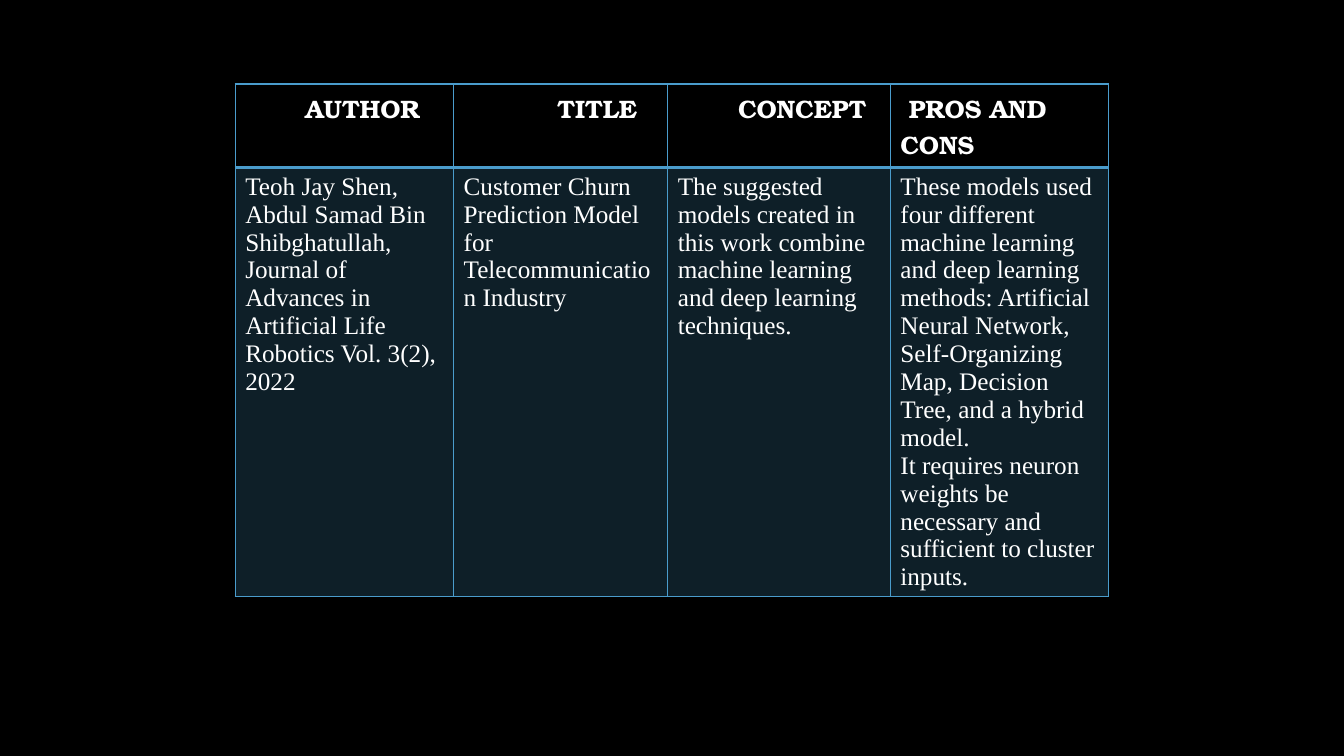
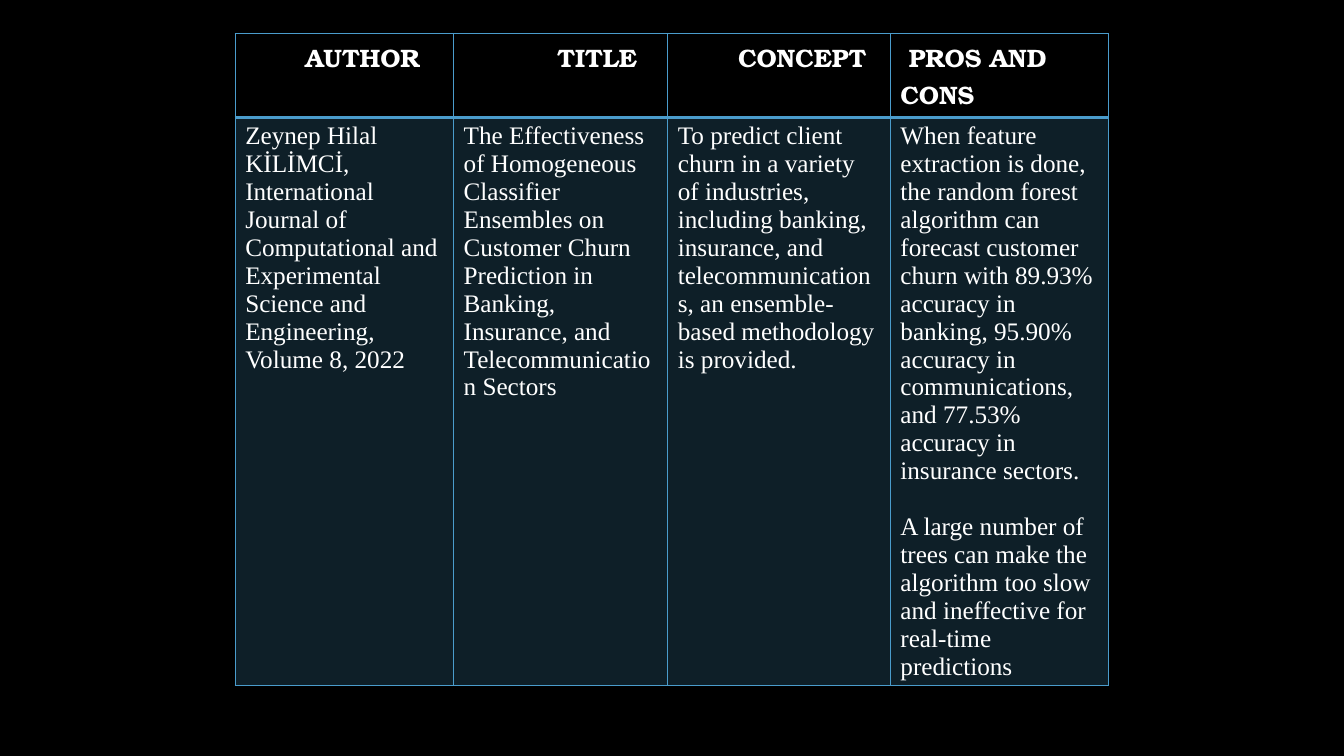
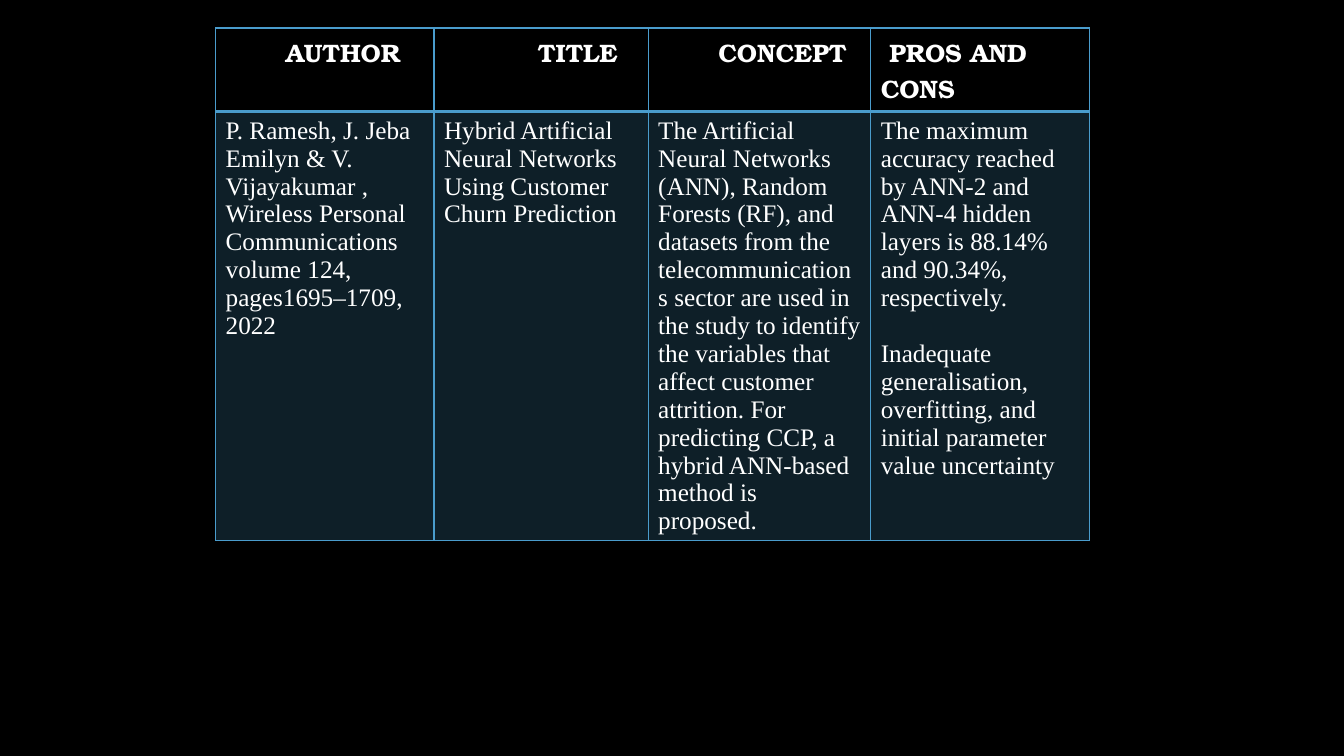
import pptx
import pptx.dml.color
import pptx.enum.text
import pptx.oxml
import pptx.oxml.ns
import pptx.util
from dataclasses import dataclass

Pt = pptx.util.Pt

# Content: heading and first-line indent of each column
HEADINGS = [("AUTHOR", 43), ("TITLE", 67), ("CONCEPT", 43), ("PROS AND CONS", 6)]

# Content: one paper per slide, each cell a list of paragraphs
PAPERS = [
    {
        "at": (168, 60), "height": 382, "gap": 0,
        "cells": [
            ["Teoh Jay Shen, Abdul Samad Bin Shibghatullah, Journal of Advances in "
             "Artificial Life Robotics Vol. 3(2), 2022"],
            ["Customer Churn Prediction Model for Telecommunication Industry"],
            ["The suggested models created in this work combine machine learning and "
             "deep learning techniques."],
            ["These models used four different machine learning and deep learning "
             "methods: Artificial Neural Network, Self-Organizing Map, Decision Tree, "
             "and a hybrid model.",
             "It requires neuron weights be necessary and sufficient to cluster inputs."],
        ],
    },
    {
        "at": (168, 24), "height": 490, "gap": 20,
        "cells": [
            ["Zeynep Hilal KİLİMCİ, International Journal of Computational and "
             "Experimental Science and Engineering, Volume 8, 2022"],
            ["The Effectiveness of Homogeneous Classifier Ensembles on Customer Churn "
             "Prediction in Banking, Insurance, and Telecommunication Sectors"],
            ["To predict client churn in a variety of industries, including banking, "
             "insurance, and telecommunications, an ensemble-based methodology is "
             "provided."],
            ["When feature extraction is done, the random forest algorithm can forecast "
             "customer churn with 89.93% accuracy in banking, 95.90% accuracy in "
             "communications, and 77.53% accuracy in insurance sectors.",
             "A large number of trees can make the algorithm too slow and ineffective "
             "for real-time predictions"],
        ],
    },
    {
        "at": (154, 20), "height": 382, "gap": 20,
        "cells": [
            ["P. Ramesh, J. Jeba Emilyn & V. Vijayakumar ,",
             "Wireless Personal Communications volume 124, pages1695–1709, 2022"],
            ["Hybrid Artificial Neural Networks Using Customer Churn Prediction"],
            ["The Artificial Neural Networks (ANN), Random Forests (RF), and datasets "
             "from the telecommunications sector are used in the study to identify the "
             "variables that affect customer attrition. For predicting CCP, a hybrid "
             "ANN-based method is proposed."],
            ["The maximum accuracy reached by ANN-2 and ANN-4 hidden layers is 88.14% "
             "and 90.34%, respectively.",
             "Inadequate generalisation, overfitting, and initial parameter value "
             "uncertainty"],
        ],
    },
]

COLUMN_WIDTHS = [156, 153, 159, 156]
ROW_HEIGHT = 24  # minimum; rows grow with their text


@dataclass(frozen=True)
class Theme:
    background: str = "000000"
    text: str = "FFFFFF"
    accent: str = "4A9CCC"
    tint: int = 20
    size: int = 18
    rule: int = 1
    header_rule: int = 2
    heading_font: str = "TeX Gyre Bonum"
    body_font: str = "Times New Roman"


THEME = Theme()
HEADING_FORMAT = {"name": THEME.heading_font, "size": Pt(THEME.size), "bold": True}
BODY_FORMAT = {"name": THEME.body_font, "size": Pt(THEME.size), "bold": False}


def paint(fill, color):
    fill.solid()
    fill.fore_color.rgb = pptx.dml.color.RGBColor.from_string(color)


def write(paragraph, text, font_format):
    paragraph.alignment = pptx.enum.text.PP_ALIGN.LEFT
    run = paragraph.add_run()
    run.text = text
    for attribute, value in font_format.items():
        setattr(run.font, attribute, value)
    paint(run.font.fill, THEME.text)


def add_borders(cell, **widths):
    """Draw the four edges; they must come before the cell fill."""
    properties = cell._tc.get_or_add_tcPr()
    for edge in "LRTB":
        width = Pt(widths.get(edge, THEME.rule))
        properties.append(pptx.oxml.parse_xml(
            f'<a:ln{edge} {pptx.oxml.ns.nsdecls("a")} w="{width}"><a:solidFill>'
            f'<a:srgbClr val="{THEME.accent}"/></a:solidFill></a:ln{edge}>'))


def fill_heading(cell, text, indent):
    paragraph = cell.text_frame.paragraphs[0]
    write(paragraph, text, HEADING_FORMAT)
    properties = paragraph._p.get_or_add_pPr()
    properties.set("marL", "0")
    properties.set("indent", str(Pt(indent)))
    add_borders(cell, B=THEME.header_rule)
    paint(cell.fill, THEME.background)


def fill_body(cell, texts, gap):
    frame = cell.text_frame
    for number, text in enumerate(texts):
        paragraph = frame.add_paragraph() if number else frame.paragraphs[0]
        write(paragraph, text, BODY_FORMAT)
        if number and gap:
            paragraph.space_before = Pt(gap)
    add_borders(cell, T=THEME.header_rule)
    paint(cell.fill, THEME.accent)
    tint = cell._tc.tcPr.find(pptx.oxml.ns.qn("a:solidFill"))[0]
    tint.append(pptx.oxml.parse_xml(
        f'<a:alpha {pptx.oxml.ns.nsdecls("a")} val="{THEME.tint * 1000}"/>'))


def add_paper(deck, paper):
    slide = deck.slides.add_slide(deck.slide_layouts[6])
    left, top = paper["at"]
    frame = slide.shapes.add_table(
        2, len(HEADINGS), Pt(left), Pt(top), Pt(sum(COLUMN_WIDTHS)), Pt(2 * ROW_HEIGHT))
    review = frame.table
    review.first_row = review.horz_banding = False
    for column, width in zip(review.columns, COLUMN_WIDTHS):
        column.width = Pt(width)
    for row in review.rows:
        row.height = Pt(ROW_HEIGHT)
    frame.height = Pt(paper["height"])

    for index, (heading, texts) in enumerate(zip(HEADINGS, paper["cells"])):
        fill_heading(review.cell(0, index), *heading)
        # Only the last column separates its pros from its cons
        gap = paper["gap"] if index == len(HEADINGS) - 1 else 0
        fill_body(review.cell(1, index), texts, gap)


def main():
    deck = pptx.Presentation()
    deck.slide_width, deck.slide_height = Pt(960), Pt(540)
    paint(deck.slide_master.background.fill, THEME.background)
    for paper in PAPERS:
        add_paper(deck, paper)
    deck.save("out.pptx")


if __name__ == "__main__":
    main()
